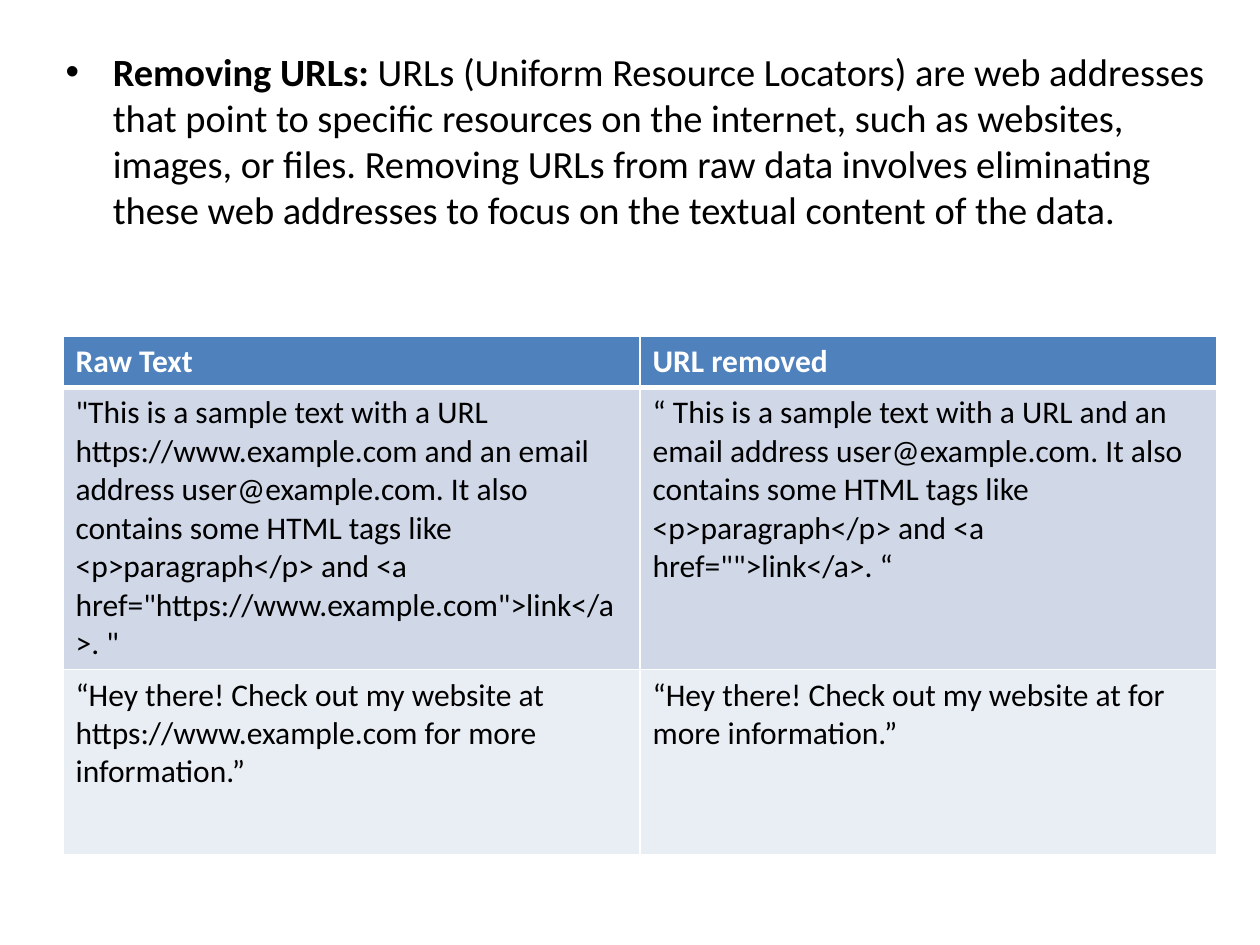
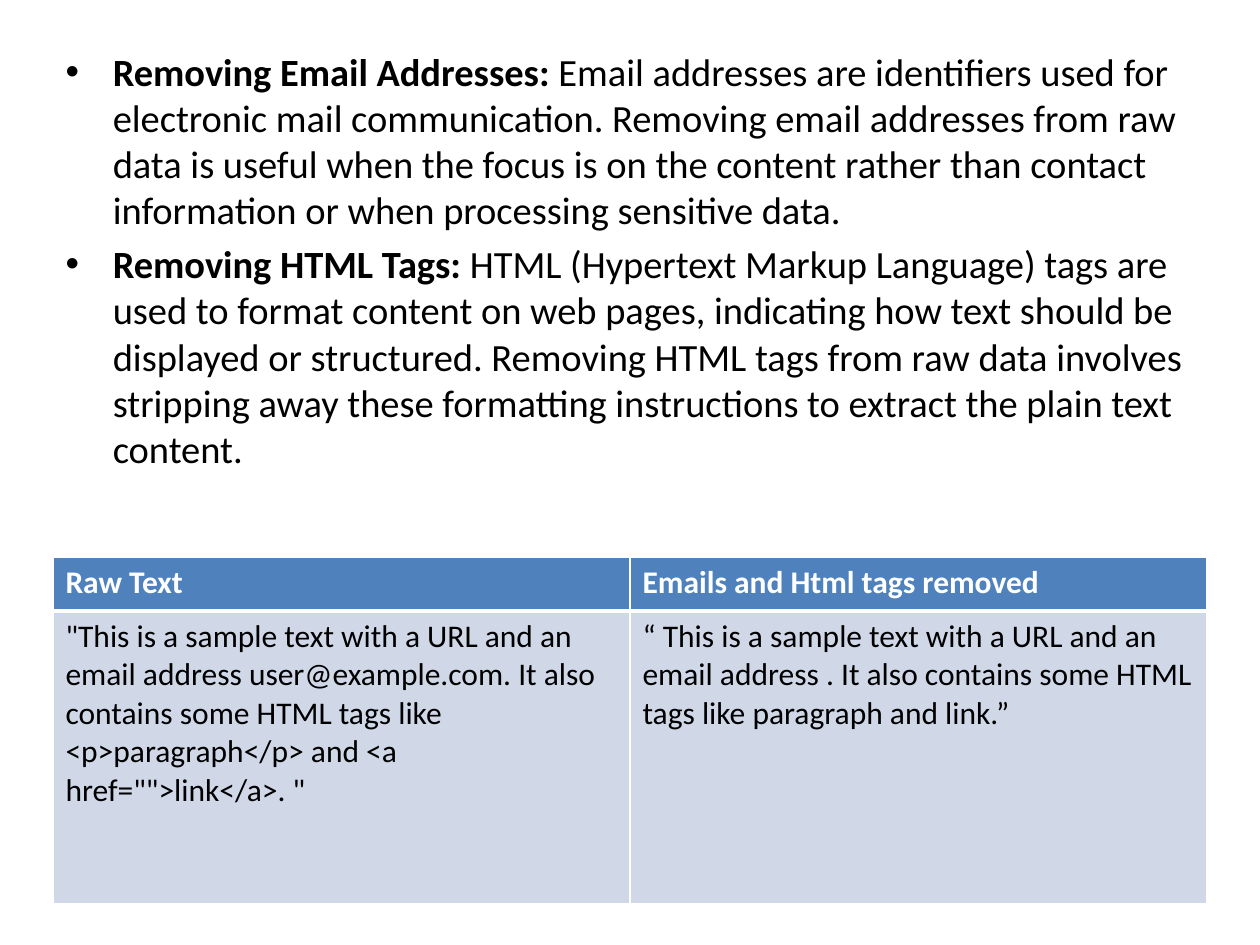
from pptx import Presentation
from pptx.dml.color import RGBColor
from pptx.enum.text import MSO_AUTO_SIZE
from pptx.oxml import parse_xml
from pptx.oxml.ns import nsdecls
from pptx.util import Inches, Pt

COLORS = {"text": "000000", "white": "FFFFFF", "header": "4F81BD",
          "band_dark": "D0D8E8", "band_light": "E9EDF4"}
FONT = "Calibri"
COLUMN_WIDTH = 4.58


def color(name):
    return RGBColor.from_string(COLORS[name])


def add_run(p, text, size, bold=False, font_color="text"):
    r = p.add_run()
    r.text = text
    formats = {"name": FONT, "size": Pt(size), "bold": bold}
    for key, value in formats.items():
        setattr(r.font, key, value)
    r.font.color.rgb = color(font_color)


def add_bullets(s, bullets):
    """Fill the body placeholder with (bold lead, explanation) pairs."""
    s.shapes.title.element.getparent().remove(s.shapes.title.element)
    body = s.placeholders[1]
    frame = {"left": 0.42, "top": 0.33, "width": 9.25, "height": 6.75}
    for key, value in frame.items():
        setattr(body, key, Inches(value))
    tf = body.text_frame
    tf.auto_size = MSO_AUTO_SIZE.NONE
    for i, (lead, explanation) in enumerate(bullets):
        p = tf.add_paragraph() if i else tf.paragraphs[0]
        add_run(p, lead, 22, bold=True)
        add_run(p, f" {explanation}", 22)


def set_borders(cell, widths):
    """Draw white cell borders; widths are points for left, right, top, bottom."""
    tcPr = cell._tc.get_or_add_tcPr()
    for i, (side, width) in enumerate(zip("LRTB", widths)):
        tcPr.insert(i, parse_xml(
            f'<a:ln{side} {nsdecls("a")} w="{Pt(width)}"><a:solidFill>'
            f'<a:srgbClr val="{COLORS["white"]}"/></a:solidFill></a:ln{side}>'))


def add_comparison_table(s, left, top, row_heights, rows):
    columns = len(rows[0])
    table = s.shapes.add_table(
        len(rows), columns, Inches(left), Inches(top),
        Inches(COLUMN_WIDTH * columns), Inches(sum(row_heights))).table
    for column in table.columns:
        column.width = Inches(COLUMN_WIDTH)
    for i, (height, texts) in enumerate(zip(row_heights, rows)):
        table.rows[i].height = Inches(height)
        is_header = i == 0
        fill = "header" if is_header else "band_dark" if i % 2 else "band_light"
        for cell, text in zip(table.rows[i].cells, texts):
            cell.fill.solid()
            cell.fill.fore_color.rgb = color(fill)
            set_borders(cell, (1, 1, 3 if i == 1 else 1, 3 if is_header else 1))
            add_run(cell.text_frame.paragraphs[0], text, 18, bold=is_header,
                    font_color="white" if is_header else "text")


def add_topic_slide(prs, bullets, **table):
    s = prs.slides.add_slide(prs.slide_layouts[1])
    add_bullets(s, bullets)
    add_comparison_table(s, **table)


def main():
    prs = Presentation()
    prs.slide_width, prs.slide_height = Inches(10), Inches(7.5)

    add_topic_slide(
        prs,
        [("Removing URLs:",
          "URLs (Uniform Resource Locators) are web addresses that point to "
          "specific resources on the internet, such as websites, images, or "
          "files. Removing URLs from raw data involves eliminating these web "
          "addresses to focus on the textual content of the data.")],
        left=0.5, top=2.67, row_heights=(0.39, 2.24, 1.47),
        rows=[
            ("Raw Text", "URL removed"),
            ('"This is a sample text with a URL https://www.example.com and an '
             'email address user@example.com. It also contains some HTML tags '
             'like <p>paragraph</p> and '
             '<a href="https://www.example.com">link</a>. "',
             '“ This is a sample text with a URL and an email address '
             'user@example.com. It also contains some HTML tags like '
             '<p>paragraph</p> and <a href="">link</a>. “'),
            ("“Hey there! Check out my website at https://www.example.com for "
             "more information.”",
             "“Hey there! Check out my website at for more information.”"),
        ])

    add_topic_slide(
        prs,
        [("Removing Email Addresses:",
          "Email addresses are identifiers used for electronic mail "
          "communication. Removing email addresses from raw data is useful "
          "when the focus is on the content rather than contact information "
          "or when processing sensitive data."),
         ("Removing HTML Tags:",
          "HTML (Hypertext Markup Language) tags are used to format content "
          "on web pages, indicating how text should be displayed or "
          "structured. Removing HTML tags from raw data involves stripping "
          "away these formatting instructions to extract the plain text "
          "content.")],
        left=0.42, top=4.42, row_heights=(0.43, 2.32),
        rows=[
            ("Raw Text", "Emails and Html tags removed"),
            ('"This is a sample text with a URL and an email address '
             'user@example.com. It also contains some HTML tags like '
             '<p>paragraph</p> and <a href="">link</a>. "',
             "“ This is a sample text with a URL and an email address . It "
             "also contains some HTML tags like paragraph and link.”"),
        ])

    prs.save("out.pptx")


if __name__ == "__main__":
    main()
